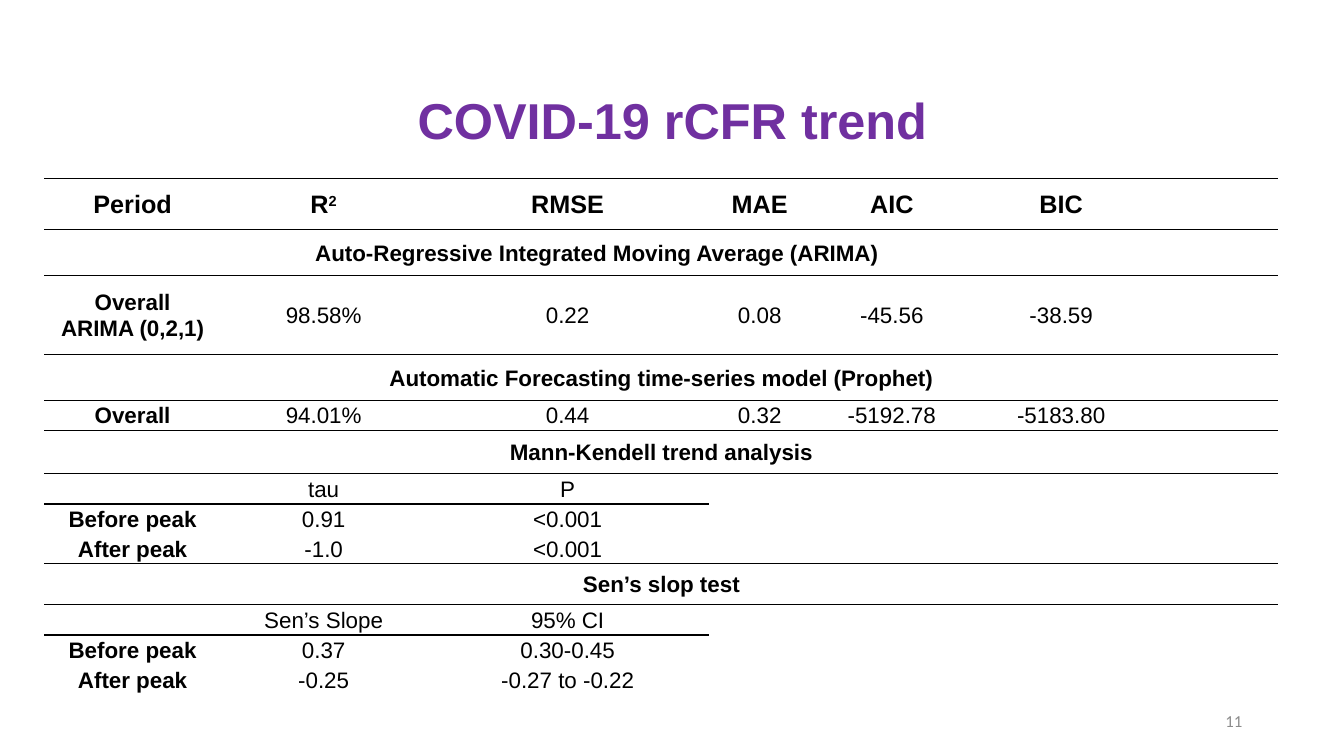
from lxml import etree
from pptx import Presentation
from pptx.dml.color import RGBColor
from pptx.enum import text
from pptx.oxml import ns
from pptx.util import Inches, Pt

COLOURS = {"title": "7030A0", "ink": "000000", "number": "8C8C8C", "paper": "FFFFFF"}
COLUMN_WIDTHS = [1.75, 2.04, 2.8, 1.01, 1.61, 1.75, 1.28]
ROW_HEIGHTS = [0.51, 0.45, 0.79, 0.45, 0.3, 0.43, 0.3, 0.3, 0.29, 0.41, 0.3, 0.3, 0.3]
ROWS = [
    ["Period", "R", "RMSE", "MAE", "AIC", "BIC"],
    ["Auto-Regressive Integrated Moving Average (ARIMA)"],
    ["Overall\nARIMA (0,2,1)", "98.58%", "0.22", "0.08", "-45.56", "-38.59"],
    ["Automatic Forecasting time-series model (Prophet)"],
    ["Overall", "94.01%", "0.44", "0.32", "-5192.78", "-5183.80"],
    ["Mann-Kendell trend analysis"],
    ["", "tau", "P"],
    ["Before peak", "0.91", "<0.001"],
    ["After peak", "-1.0", "<0.001"],
    ["Sen’s slop test"],
    ["", "Sen’s Slope", "95% CI"],
    ["Before peak", "0.37", "0.30-0.45"],
    ["After peak", "-0.25", "-0.27 to -0.22"],
]
LAST_SECTION_COLUMN = {1: 5, 3: 6, 5: 6, 9: 6}
EMPTY_BLOCKS = [(6, 8), (10, 12)]
FULL_RULES = {0, 1, 2, 3, 4, 5, 6, 9, 10}  # rule n lies above row n
SHORT_RULES = {7, 11}
SHORT_RULE_COLUMNS = 3


def add_run(paragraph, content, size, colour, bold=False, font="Arial"):
    run = paragraph.add_run()
    run.text = content
    run.font.name = font
    run.font.size = Pt(size)
    run.font.bold = bold
    run.font.color.rgb = RGBColor.from_string(COLOURS[colour])
    return run


def has_rule(rule, column):
    return rule in FULL_RULES or (rule in SHORT_RULES and column < SHORT_RULE_COLUMNS)


def set_borders(cell, top, bottom):
    properties = cell._tc.get_or_add_tcPr()
    for tag, visible in (("lnL", False), ("lnR", False), ("lnT", top), ("lnB", bottom)):
        line = etree.SubElement(properties, ns.qn("a:" + tag), w=str(Pt(1)))
        if visible:
            fill = etree.SubElement(line, ns.qn("a:solidFill"))
            etree.SubElement(fill, ns.qn("a:srgbClr"), val=COLOURS["ink"])
        else:
            etree.SubElement(line, ns.qn("a:noFill"))


def format_cell(cell, row, column):
    set_borders(cell, has_rule(row, column), has_rule(row + 1, column))
    cell.fill.solid()
    cell.fill.fore_color.rgb = RGBColor.from_string(COLOURS["paper"])
    cell.margin_left = cell.margin_right = Inches(0.07)
    cell.margin_top = cell.margin_bottom = 0
    cell.vertical_anchor = text.MSO_ANCHOR.MIDDLE


def fill_cell(cell, content, size, bold):
    frame = cell.text_frame
    for index, line in enumerate(content.split("\n")):
        paragraph = frame.add_paragraph() if index else frame.paragraphs[0]
        paragraph.alignment = text.PP_ALIGN.CENTER
        paragraph.line_spacing = 1.07
        if line:
            add_run(paragraph, line, size, "ink", bold)
        else:
            etree.SubElement(paragraph._p, ns.qn("a:endParaRPr"), sz=str(size * 100))


def add_trend_table(slide):
    frame = slide.shapes.add_table(
        len(ROWS), len(COLUMN_WIDTHS), Inches(0.44), Inches(1.77),
        Inches(sum(COLUMN_WIDTHS)), Inches(sum(ROW_HEIGHTS)))
    table = frame.table
    table.first_row = table.horz_banding = False
    for column, width in zip(table.columns, COLUMN_WIDTHS):
        column.width = Inches(width)
    for row, (values, height) in enumerate(zip(ROWS, ROW_HEIGHTS)):
        table.rows[row].height = Inches(height)
        for column in range(len(COLUMN_WIDTHS)):
            cell = table.cell(row, column)
            format_cell(cell, row, column)
            content = values[column] if column < len(values) else ""
            fill_cell(cell, content, 16 if row else 18, row == 0 or column == 0)
    exponent = add_run(table.cell(0, 1).text_frame.paragraphs[0], "2", 18, "ink", True)
    exponent.font._element.set("baseline", "30000")
    for row, last_column in LAST_SECTION_COLUMN.items():
        table.cell(row, 0).merge(table.cell(row, last_column))
    for first, last in EMPTY_BLOCKS:
        table.cell(first, SHORT_RULE_COLUMNS).merge(table.cell(last, len(COLUMN_WIDTHS) - 1))


def set_title(slide, content):
    title = slide.shapes.title
    title.left, title.top = Inches(0.44), Inches(0.68)
    title.width, title.height = Inches(12.46), Inches(1.09)
    title.text_frame.vertical_anchor = text.MSO_ANCHOR.MIDDLE
    paragraph = title.text_frame.paragraphs[0]
    paragraph.alignment = text.PP_ALIGN.CENTER
    paragraph.line_spacing = 0.9
    add_run(paragraph, content, 36, "title", True)


def add_slide_number(slide, number):
    box = slide.shapes.add_textbox(Inches(9.42), Inches(6.95), Inches(3), Inches(0.4))
    box.text_frame.word_wrap = True
    box.text_frame.vertical_anchor = text.MSO_ANCHOR.MIDDLE
    paragraph = box.text_frame.paragraphs[0]
    paragraph.alignment = text.PP_ALIGN.RIGHT
    add_run(paragraph, number, 12, "number", font="Calibri")


def main():
    presentation = Presentation()
    presentation.slide_width, presentation.slide_height = Inches(13.33), Inches(7.5)
    slide = presentation.slides.add_slide(presentation.slide_layouts.get_by_name("Title Only"))
    set_title(slide, "COVID-19 rCFR trend")
    add_trend_table(slide)
    add_slide_number(slide, "11")
    presentation.save("out.pptx")


if __name__ == "__main__":
    main()
